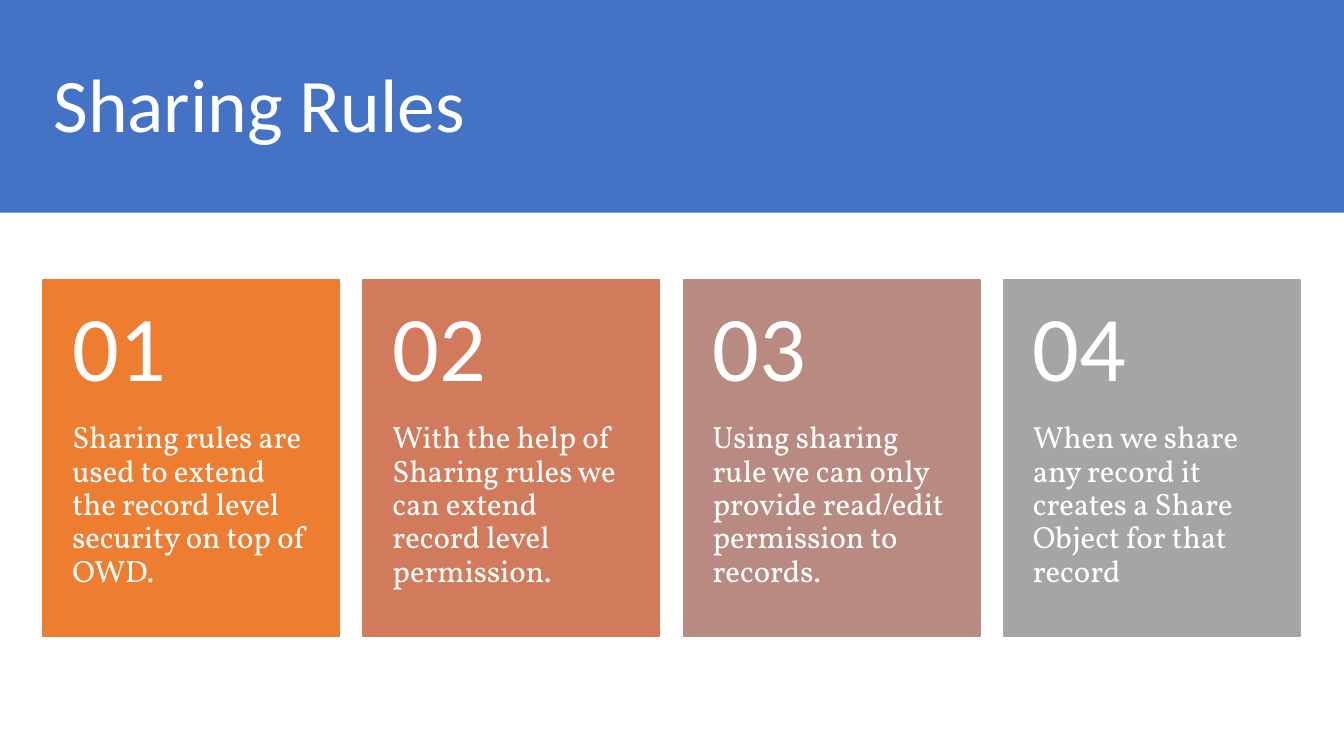
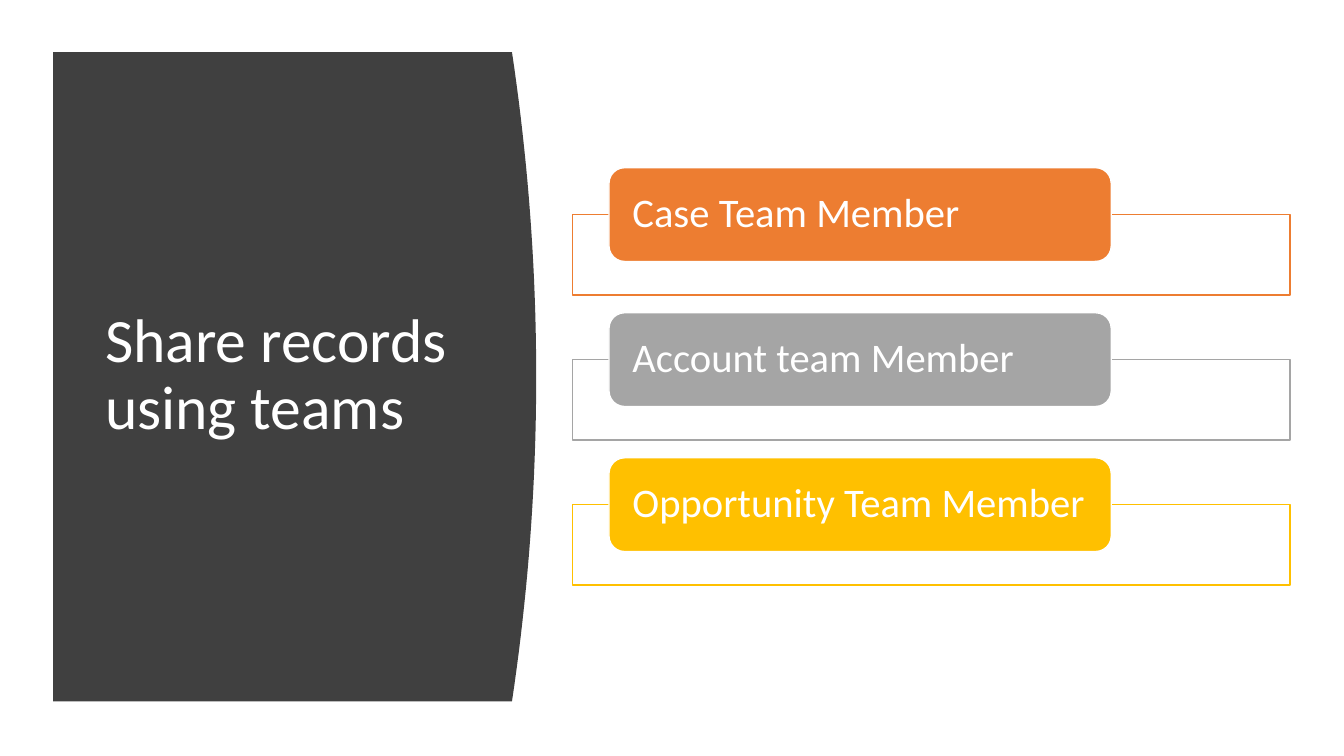
from lxml.etree import SubElement
from pptx import Presentation
from pptx.dml.color import RGBColor
from pptx.enum.shapes import MSO_SHAPE
from pptx.enum.text import MSO_ANCHOR, PP_ALIGN
from pptx.oxml.ns import qn
from pptx.util import Pt

WHITE = RGBColor(0xFF, 0xFF, 0xFF)
BLUE = RGBColor(0x44, 0x72, 0xC4)
ORANGE = RGBColor(0xED, 0x7D, 0x31)
CORAL = RGBColor(0xD1, 0x7B, 0x5C)
ROSE = RGBColor(0xB9, 0x8A, 0x82)
GRAY = RGBColor(0xA5, 0xA5, 0xA5)
GOLD = RGBColor(0xFF, 0xC0, 0x00)
DARK = RGBColor(0x40, 0x40, 0x40)
SANS = "Calibri"
SERIF = "Vollkorn"
WIDE, HIGH = 960, 540

CARDS = [
    (ORANGE, "Sharing rules are used to extend the record level security on top of OWD."),
    (CORAL, "With the help of Sharing rules we can extend record level permission."),
    (ROSE, "Using sharing rule we can only provide read/edit permission to records."),
    (GRAY, "When we share any record it creates a Share Object for that record"),
]
TEAMS = [
    (ORANGE, "Case Team Member"),
    (GRAY, "Account team Member"),
    (GOLD, "Opportunity Team Member"),
]


def paint(shape, fill, line=None):
    """Set the fill and outline of a shape and drop its shadow."""
    shape.shadow.inherit = False
    shape.fill.solid()
    shape.fill.fore_color.rgb = fill
    if line is None:
        shape.line.fill.background()
    else:
        shape.line.color.rgb = line
        shape.line.width = Pt(1)


def block(slide, kind, box, fill, line=None):
    """Add a painted preset shape in a box."""
    shape = slide.shapes.add_shape(kind, *map(Pt, box))
    paint(shape, fill, line)
    return shape


def write(shape, text, size, font=SANS, anchor=MSO_ANCHOR.MIDDLE, pads=(7.2, 3.6, 7.2, 3.6)):
    """Write one white, left-aligned paragraph into a shape."""
    frame = shape.text_frame
    frame.word_wrap = True
    frame.vertical_anchor = anchor
    (frame.margin_left, frame.margin_top,
     frame.margin_right, frame.margin_bottom) = map(Pt, pads)
    para = frame.paragraphs[0]
    para.alignment = PP_ALIGN.LEFT
    para.line_spacing = 0.9
    run = para.add_run()
    run.text = text
    run.font.size = Pt(size)
    run.font.name = font
    run.font.color.rgb = WHITE


def label(slide, box, *args, **style):
    """Add a text box with one paragraph."""
    write(slide.shapes.add_textbox(*map(Pt, box)), *args, **style)


def card(slide, box, color, number, text):
    """Draw a numbered card with its text below the number."""
    left, top, width, height = box
    head = height * 0.4
    block(slide, MSO_SHAPE.RECTANGLE, box, color, color)
    label(slide, (left, top + head, width, height - head), text, 22,
          font=SERIF, anchor=MSO_ANCHOR.TOP, pads=(21, 0, 21, 26))
    label(slide, (left, top, width, head), f"{number:02}", 66, pads=(21, 13, 21, 13))


def panel(slide, box, bulge, steps=40):
    """Draw a dark panel whose right side bows outward."""
    left, top, width, height = box
    edge = left + width - bulge
    curve = []
    for step in range(steps + 1):
        part = step / steps
        bow = 1 - (2 * part - 1) ** 2
        curve.append((Pt(edge + bulge * bow), Pt(top + height * part)))
    form = slide.shapes.build_freeform(Pt(left), Pt(top))
    form.add_line_segments(curve + [(Pt(left), Pt(top + height))], close=True)
    paint(form.convert_to_shape(), DARK)


def team(slide, box, color, text):
    """Draw an outlined bar with a rounded tab across its top edge."""
    left, top, width, height = box
    bar = block(slide, MSO_SHAPE.RECTANGLE, (left, top + 33.5, width, height - 33.5), WHITE, color)
    tint = bar.fill._xPr.find(qn("a:solidFill"))[0]
    SubElement(tint, qn("a:alpha"), val="90000")
    tab = block(slide, MSO_SHAPE.ROUNDED_RECTANGLE,
                (left + 26, top, width * 0.7, 67), color, WHITE)
    write(tab, text, 29, pads=(13.5, 0, 13.5, 0))


def rules(slide, box):
    """Lay out the sharing rules slide."""
    left, top, width, height = box
    block(slide, MSO_SHAPE.RECTANGLE, (left, top, width, 152), BLUE)
    label(slide, (left + 31, top + 25, width - 62, 104.5), "Sharing Rules", 54)
    for index, (color, text) in enumerate(CARDS):
        spot = (left + 30.6 + index * 228.7, top + 200, 212, 254.3)
        card(slide, spot, color, index + 1, text)


def teams(slide, box):
    """Lay out the team sharing slide."""
    left, top, width, height = box
    panel(slide, (left + 38, top + 37.3, 345, 463.7), 17.3)
    label(slide, (left + 68, top + 80, 269, 377), "Share records using teams", 44)
    for index, (color, text) in enumerate(TEAMS):
        team(slide, (left + 409, top + 119.8 + index * 103.6, 512.6, 91), color, text)


def main():
    """Build and save both slides."""
    deck = Presentation()
    deck.slide_width, deck.slide_height = Pt(WIDE), Pt(HIGH)
    for build in (rules, teams):
        build(deck.slides.add_slide(deck.slide_layouts[6]), (0, 0, WIDE, HIGH))
    deck.save("out.pptx")


if __name__ == "__main__":
    main()
